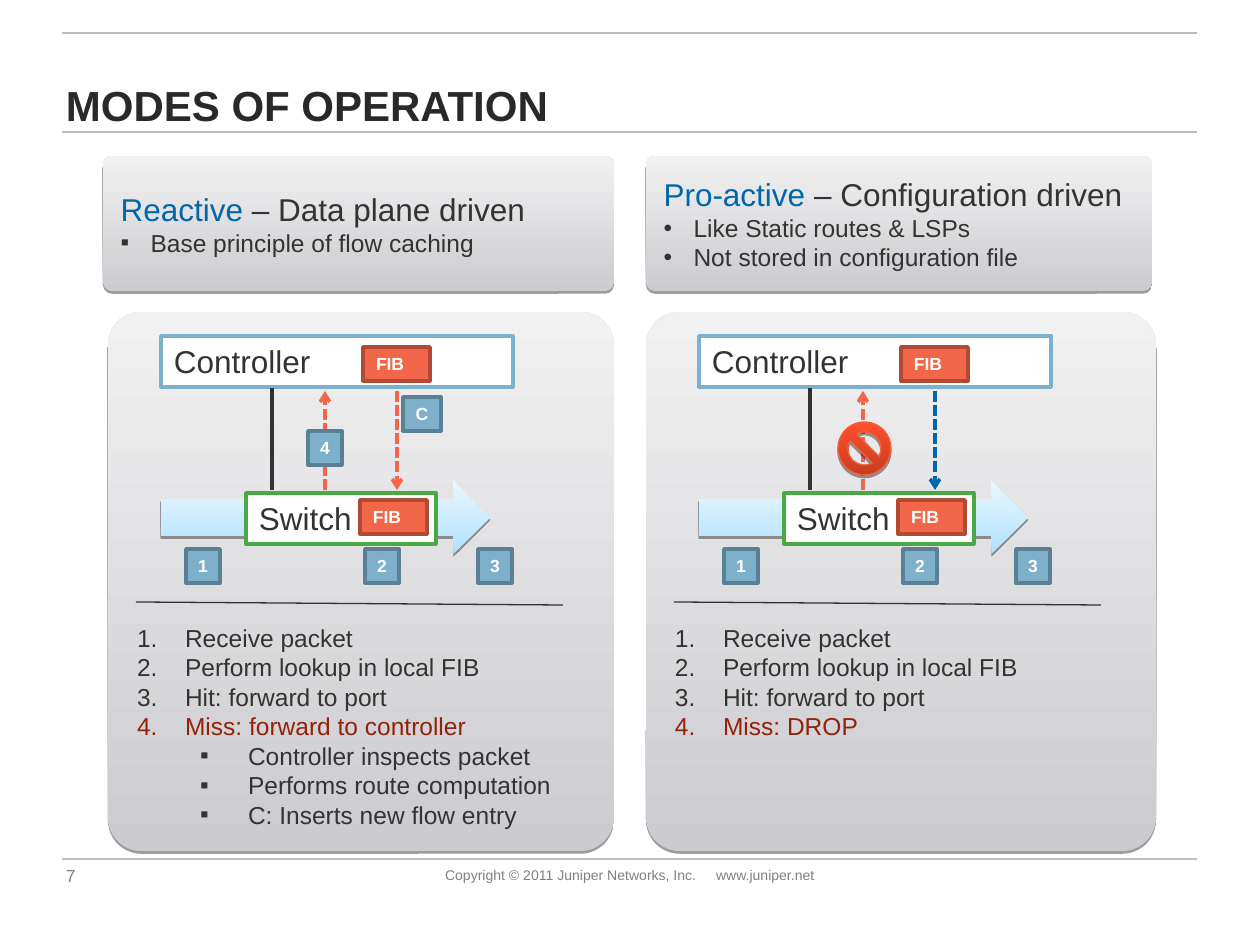
import lxml.etree
import pptx
import pptx.dml.color
import pptx.enum.dml
import pptx.enum.shapes
import pptx.enum.text
import pptx.oxml.ns
import pptx.util

SHAPE = pptx.enum.shapes.MSO_SHAPE
ANCHOR = pptx.enum.text.MSO_ANCHOR
ALIGN = pptx.enum.text.PP_ALIGN
DASH = pptx.enum.dml.MSO_LINE.SQUARE_DOT

INK, RULE, FOOTER = "333333", "BABCBE", "807F83"
BLUE, ORANGE, MISS = "0067AC", "F26649", "93220B"
GREY_FADE = ("CCCBCF", "F1F1F2")
SKY_FADE = ("B1E1FF", "E8F7FF")
SIGN_FADE = ("C73D21", "FF502A")
BADGE = {"fill": "7EB0CC", "line": "5B8095"}
TABLE = {"fill": ORANGE, "line": "B24933"}
SMALL = {"size": 10, "bold": True, "color": "FFFFFF"}
BODY = {"size": 14, "color": INK}
HEADING = {"size": 18, "color": INK}


def px(length):
    return pptx.util.Emu(round(length * 914400 / 126))


def rgb(value):
    return pptx.dml.color.RGBColor.from_string(value)


def add_xml(parent, tag, **attributes):
    child = lxml.etree.SubElement(parent, pptx.oxml.ns.qn(tag))
    for name, value in attributes.items():
        child.set(name, str(value))
    return child


def set_values(target, values):
    for name, value in values.items():
        setattr(target, name, value)


def add_span(para, text, size, color, bold=False):
    span = para.add_run()
    span.text = text
    set_values(span.font, {"name": "Arial", "size": pptx.util.Pt(size), "bold": bold})
    span.font.color.rgb = rgb(color)


def set_bullet(para, bullet, color, margin, hanging):
    props = para._p.get_or_add_pPr()
    props.set("marL", str(px(margin)))
    props.set("indent", str(-px(hanging)))
    add_xml(add_xml(props, "a:buClr"), "a:srgbClr", val=color)
    add_xml(props, "a:buFont", typeface="Arial")
    if bullet == "1.":
        add_xml(props, "a:buAutoNum", type="arabicPeriod")
    else:
        add_xml(props, "a:buChar", char=bullet)


def set_frame(frame, inset_x=13, inset_y=6, anchor=ANCHOR.TOP, wrap=True):
    set_values(frame, {
        "margin_left": px(inset_x), "margin_right": px(inset_x),
        "margin_top": px(inset_y), "margin_bottom": px(inset_y),
        "vertical_anchor": anchor, "word_wrap": wrap})


def add_box(page, x, y, w, h, **frame_values):
    box = page.shapes.add_textbox(px(x), px(y), px(w), px(h))
    set_frame(box.text_frame, **frame_values)
    return box.text_frame


def add_shape(page, kind, x, y, w, h, fill, line=None, width=2, corner=None, shadow=False):
    shape = page.shapes.add_shape(kind, px(x), px(y), px(w), px(h))
    shape.shadow.inherit = False
    if isinstance(fill, tuple):
        shape.fill.gradient()
        shape.fill.gradient_angle = 90
        for stop, color in zip(shape.fill.gradient_stops, fill):
            stop.color.rgb = rgb(color)
    else:
        shape.fill.solid()
        shape.fill.fore_color.rgb = rgb(fill)
    if line:
        shape.line.color.rgb = rgb(line)
        shape.line.width = pptx.util.Pt(width)
    else:
        shape.line.fill.background()
    if corner:
        shape.adjustments[0] = corner
    if shadow:
        effects = shape._element.spPr.find(pptx.oxml.ns.qn("a:effectLst"))
        outer = add_xml(effects, "a:outerShdw", blurRad=0, dist=20320, dir=5400000, rotWithShape=0)
        add_xml(add_xml(outer, "a:srgbClr", val="000000"), "a:alpha", val=38000)
    return shape


def add_label(page, x, y, w, h, text, look, font, centred=False):
    shape = add_shape(page, SHAPE.RECTANGLE, x, y, w, h, **look)
    set_frame(shape.text_frame, wrap=not centred)
    para = shape.text_frame.paragraphs[0]
    para.alignment = ALIGN.CENTER if centred else ALIGN.LEFT
    add_span(para, text, **font)


def add_line(page, x1, y1, x2, y2, color, width, arrow=False):
    line = page.shapes.add_connector(
        pptx.enum.shapes.MSO_CONNECTOR.STRAIGHT, px(x1), px(y1), px(x2), px(y2))
    line.line.color.rgb = rgb(color)
    line.line.width = pptx.util.Pt(width)
    if arrow:
        line.line.dash_style = DASH
        add_xml(line.line._get_or_add_ln(), "a:tailEnd", type="arrow")
    add_xml(line._element.spPr, "a:effectLst")


def add_page_frame(page, left, right, title, number, notice, site):
    for y in (33, 132, 859):
        add_line(page, left, y, right, y, RULE, 1)
    # Title
    frame = add_box(page, left + 4, 35, 1133, 102, inset_x=0, anchor=ANCHOR.BOTTOM)
    frame.paragraphs[0].line_spacing = 0.9
    add_span(frame.paragraphs[0], title, 24, "292929", True)
    # Page number and copyright line
    frame = add_box(page, left + 4, 858, 73, 28, inset_x=0, inset_y=0, anchor=ANCHOR.BOTTOM)
    add_span(frame.paragraphs[0], number, 10, FOOTER)
    para = add_box(page, left + 370, 860, 400, 30).paragraphs[0]
    tabs = add_xml(para._p.get_or_add_pPr(), "a:tabLst")
    add_xml(tabs, "a:tab", pos=px(271), algn="l")
    add_span(para, f"{notice}\t{site}", 8, FOOTER)


def add_header(page, x, y, w, h, mode, driver, bullet, points):
    card = add_shape(page, SHAPE.ROUNDED_RECTANGLE, x, y, w, h, GREY_FADE,
                     corner=0.066, shadow=True)
    frame = card.text_frame
    set_frame(frame, inset_x=15, anchor=ANCHOR.MIDDLE)
    para = frame.paragraphs[0]
    para.alignment = ALIGN.LEFT
    add_span(para, mode, 18, BLUE)
    add_span(para, f" – {driver}", **HEADING)
    for point in points:
        para = frame.add_paragraph()
        para.alignment = ALIGN.LEFT
        set_bullet(para, bullet, INK, 30, 30)
        add_span(para, point, **BODY)


def add_steps(page, x, y, w, h, miss, details):
    frame = add_box(page, x, y, w, h, inset_x=12)
    steps = [(text, "1.", INK, 0) for text in
             ("Receive packet", "Perform lookup in local FIB", "Hit: forward to port")]
    steps.append((miss, "1.", MISS, 0))
    steps += [(text, "▪", INK, 1) for text in details]
    for index, (text, bullet, color, level) in enumerate(steps):
        para = frame.add_paragraph() if index else frame.paragraphs[0]
        para.level = level
        set_bullet(para, bullet, color, 48 + 63 * level, 48)
        add_span(para, text, 14, color)


def add_panel(page, x, y, w, h, push_color, reactive, miss, details=()):
    add_shape(page, SHAPE.ROUNDED_RECTANGLE, x, y, w, h, GREY_FADE, corner=0.066, shadow=True)
    # Packet path, controller and switch
    add_shape(page, SHAPE.RIGHT_ARROW, x + 53, y + 169, 329, 73, SKY_FADE, shadow=True)
    add_label(page, x + 53, y + 24, 352, 51, "Controller",
              {"fill": "FFFFFF", "line": "7EB0CC"}, HEADING)
    add_label(page, x + 138, y + 181, 190, 51, "Switch",
              {"fill": "FFFFFF", "line": "49A942"}, HEADING)
    for dx, dy in ((252, 188), (255, 35)):
        add_label(page, x + dx, y + dy, 67, 34, "FIB", TABLE, SMALL)
    # Links between controller and switch
    add_line(page, x + 164, y + 76, x + 164, y + 178, INK, 2)
    add_line(page, x + 289, y + 79, x + 289, y + 178, push_color, 2, arrow=True)
    add_line(page, x + 217, y + 178, x + 217, y + 79, ORANGE, 2, arrow=True)
    # Step badges
    badges = [("1", 78, 237, 34), ("2", 257, 237, 34), ("3", 370, 237, 34)]
    if reactive:
        badges += [("4", 200, 119, 34), ("C", 295, 85, 38)]
    else:
        add_shape(page, SHAPE.NO_SYMBOL, x + 192, y + 110, 53, 53, SIGN_FADE,
                  "F16143", 0.75, shadow=True)
    for text, dx, dy, width in badges:
        add_label(page, x + dx, y + dy, width, 34, text, BADGE, SMALL, centred=True)
    # Steps below the rule
    add_line(page, x + 28, y + 290, x + 455, y + 293, "323232", 0.75)
    add_steps(page, x + 17, y + 305, 470, 219, miss, details)


def main():
    deck = pptx.Presentation()
    deck.slide_width, deck.slide_height = px(1260), px(945)
    page = deck.slides.add_slide(deck.slide_layouts[6])
    add_page_frame(page, 62, 1197, "MODES OF OPERATION", "7",
                   "Copyright © 2011 Juniper Networks, Inc.", "www.juniper.net")
    add_panel(page, 108, 312, 506, 539, ORANGE, True, "Miss: forward to controller",
              ("Controller inspects packet", "Performs route computation",
               "C: Inserts new flow entry"))
    add_panel(page, 646, 312, 510, 539, BLUE, False, "Miss: DROP")
    add_header(page, 103, 156, 511, 135, "Reactive", "Data plane driven", "▪",
               ("Base principle of flow caching",))
    add_header(page, 646, 156, 506, 135, "Pro-active", "Configuration driven", "•",
               ("Like Static routes & LSPs", "Not stored in configuration file"))
    deck.save("out.pptx")


if __name__ == "__main__":
    main()
